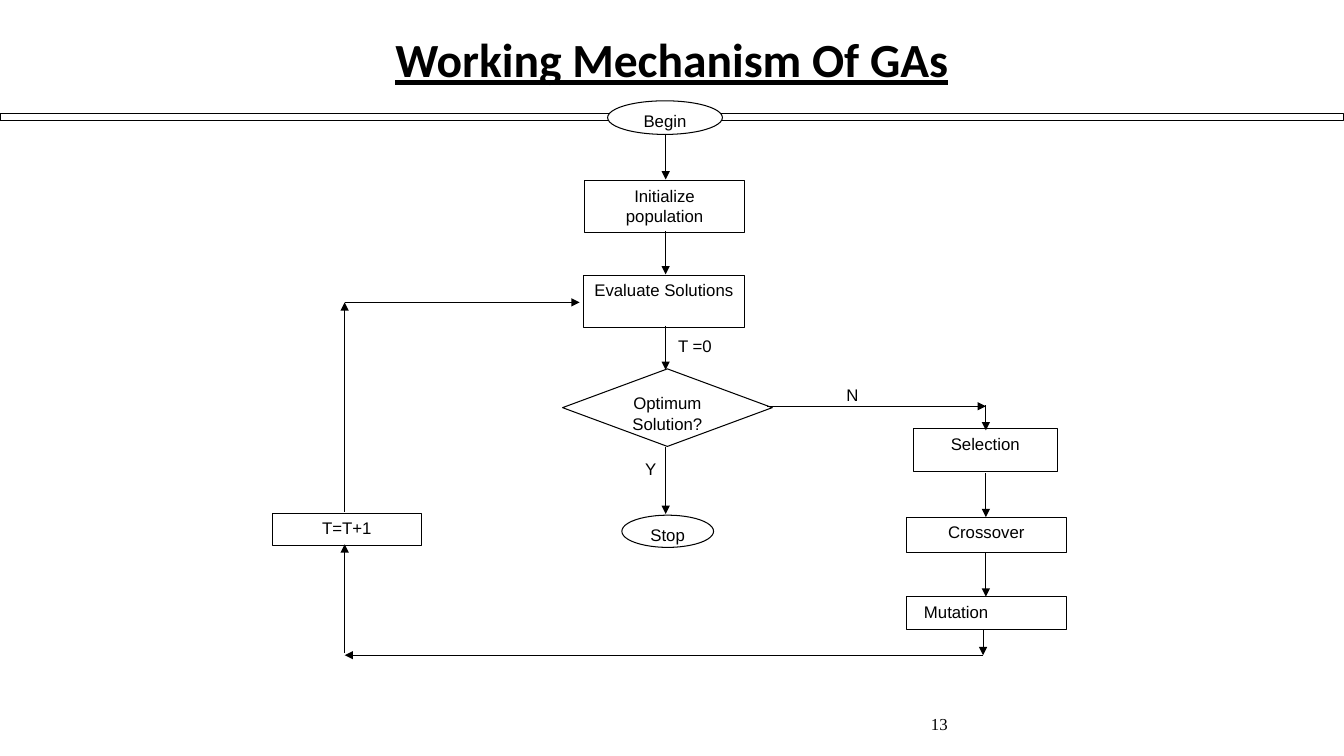
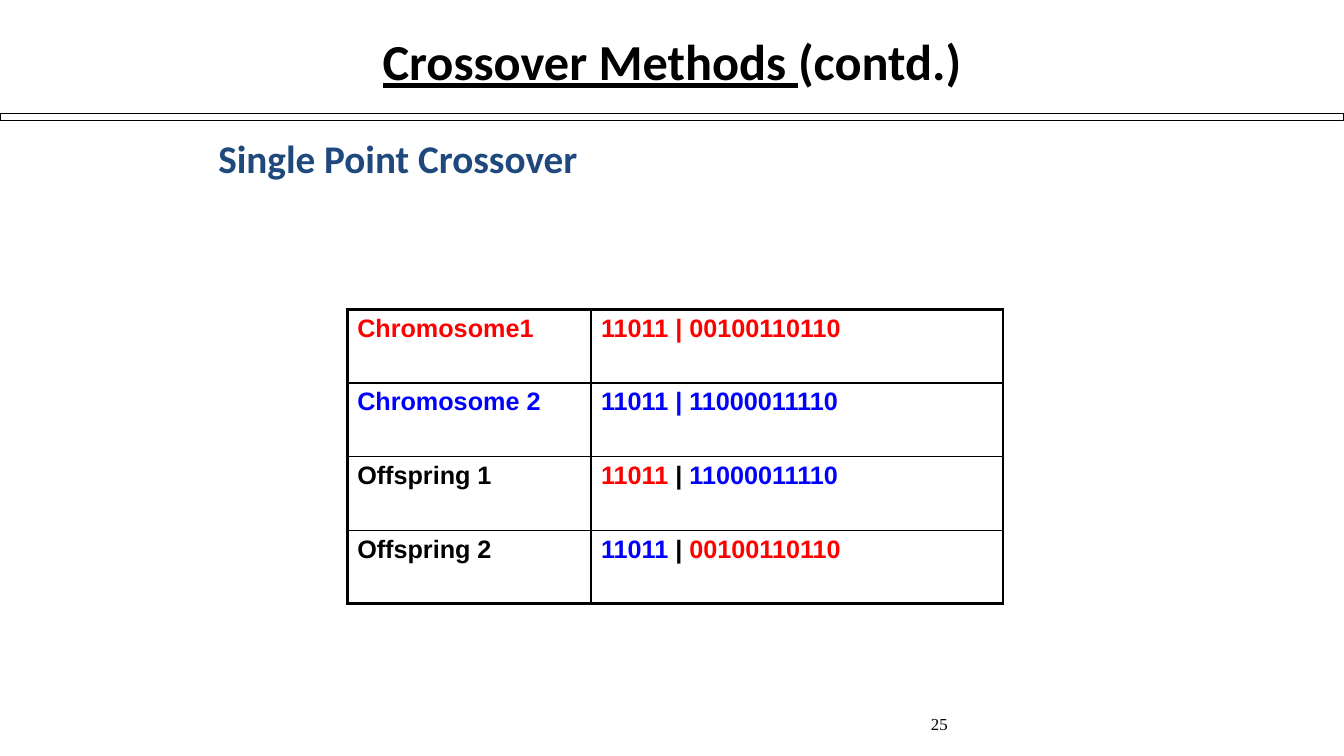
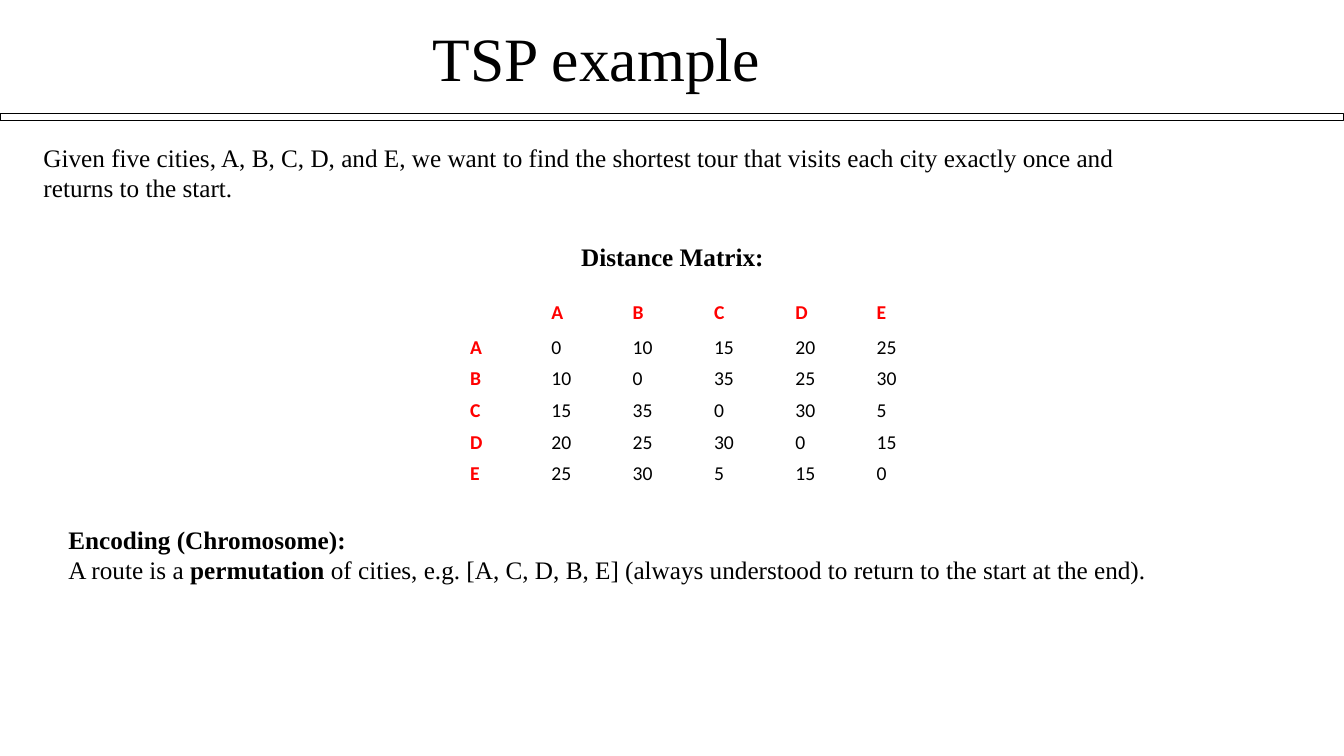
from lxml import etree
from pptx import Presentation
from pptx.dml.color import RGBColor
from pptx.enum.shapes import MSO_CONNECTOR, MSO_SHAPE
from pptx.enum.text import MSO_ANCHOR, PP_ALIGN
from pptx.oxml.ns import qn
from pptx.util import Pt

LEFT, MID, RIGHT = PP_ALIGN.LEFT, PP_ALIGN.CENTER, PP_ALIGN.RIGHT
TOP, HALF, LOW = MSO_ANCHOR.TOP, MSO_ANCHOR.MIDDLE, MSO_ANCHOR.BOTTOM
OVAL = MSO_SHAPE.FLOWCHART_CONNECTOR
STEP = MSO_SHAPE.FLOWCHART_PROCESS
TEST = MSO_SHAPE.FLOWCHART_DECISION
BAR = MSO_SHAPE.RECTANGLE
WIRE = MSO_CONNECTOR.STRAIGHT
INK = {"black": "000000", "white": "FFFFFF", "red": "FF0000",
       "blue": "0000FF", "navy": "1F497D"}
SANS, HEAD, SERIF = "Arial", "Calibri", "Times New Roman"
WIDE, TALL = 960, 540
PAD = (7.2, 3.6, 7.2, 3.6)
FLAT = (0, 0, 0, 0)


def tint(name):
    return RGBColor.from_string(INK[name])


def pts(*nums):
    return [Pt(num) for num in nums]


def inset(part, pad):
    part.margin_left, part.margin_top, part.margin_right, part.margin_bottom = pts(*pad)


def write(frame, lines, size=12, font=SANS, ink="black", bold=False, line=False, align=LEFT):
    lines = [lines] if isinstance(lines, str) else lines
    for i, runs in enumerate(lines):
        para = frame.add_paragraph() if i else frame.paragraphs[0]
        para.alignment = align
        for run in [(runs, {})] if isinstance(runs, str) else runs:
            text, own = run
            bit = para.add_run()
            bit.text = text
            face = bit.font
            face.name, face.size = font, Pt(size)
            face.bold = own.get("bold", bold)
            face.underline = own.get("line", line)
            face.color.rgb = tint(own.get("ink", ink))


def label(slide, box, lines, pad=PAD, anchor=TOP, **form):
    frame = slide.shapes.add_textbox(*pts(*box)).text_frame
    frame.word_wrap = True
    frame.vertical_anchor = anchor
    inset(frame, pad)
    write(frame, lines, **form)


def block(slide, kind, box, text="", fill="white", pad=PAD, **form):
    shape = slide.shapes.add_shape(kind, *pts(*box))
    shape.shadow.inherit = False
    if fill:
        shape.fill.solid()
        shape.fill.fore_color.rgb = tint(fill)
    else:
        shape.fill.background()
    shape.line.color.rgb = tint("black")
    shape.line.width = Pt(0.75)
    if text:
        frame = shape.text_frame
        frame.word_wrap = True
        frame.vertical_anchor = TOP
        inset(frame, pad)
        write(frame, text, **form)


def arrow(slide, x1, y1, x2, y2):
    wire = slide.shapes.add_connector(WIRE, *pts(x1, y1, x2, y2))
    wire.line.color.rgb = tint("black")
    wire.line.width = Pt(0.75)
    etree.SubElement(wire.line._get_or_add_ln(), qn("a:tailEnd"), type="triangle")
    etree.SubElement(wire._element.spPr, qn("a:effectLst"))


def base(deck, page=None):
    slide = deck.slides.add_slide(deck.slide_layouts[6])
    block(slide, BAR, (0, 81, WIDE, 5), fill=None)
    if page:
        label(slide, (516, 492, 168, 36), page, anchor=LOW, font=SERIF, align=RIGHT)
    return slide


def title(slide, text, size):
    label(slide, (156, 21.6, 648, 44), text, pad=FLAT, size=size, font=HEAD,
          bold=True, line=True, align=MID)


def flow(slide, box):
    left, top, _, _ = box
    mid, side, back, base_y = 281.5, 510.2, 52.2, 396
    indent = (12.7, 3.6, 7.2, 3.6)
    nodes = [
        (OVAL, 240, 0, 82, 24, "Begin", MID, PAD),
        (STEP, 223.5, 57, 114.5, 37.4, "Initialize population", MID, PAD),
        (STEP, 223, 124.5, 114.5, 37.4, "Evaluate Solutions", MID, PAD),
        (TEST, 207.8, 191.5, 149.8, 55.4, "Optimum Solution?", MID, PAD),
        (OVAL, 250.2, 296, 65.5, 23, "Stop", MID, PAD),
        (STEP, 0.4, 294.5, 106.6, 23, "T=T+1", MID, PAD),
        (STEP, 458.3, 234, 103, 31, "Selection", MID, PAD),
        (STEP, 453.3, 297.4, 114.5, 25.2, "Crossover", MID, PAD),
        (STEP, 453.3, 354.2, 114.5, 23.8, "Mutation", LEFT, indent),
    ]
    for kind, x, y, w, h, text, align, pad in nodes:
        block(slide, kind, (left + x, top + y, w, h), text, pad=pad, align=align)
    for x, y, text in [(387.8, 199.4, "N"), (243.8, 252, "Y"), (275.4, 164.2, "T =0")]:
        label(slide, (left + x, top + y, 54, 21.6), text, align=MID)
    drops = [(mid, 24.5, 56.2), (mid, 93, 124), (mid, 160.6, 192.2), (mid, 247, 295.2),
             (side, 217.4, 235.4), (side, 265.7, 297.4), (side, 323.3, 354.2),
             (side - 2, 378, base_y), (back, 394.6, 316.8), (back, 293.8, 144)]
    for x, y1, y2 in drops:
        arrow(slide, left + x, top + y1, left + x, top + y2)
    for y, x1, x2 in [(218.2, 354, side), (base_y, side - 2, back), (144, back, 220)]:
        arrow(slide, left + x1, top + y, left + x2, top + y)


def edge(cell, widths):
    props = cell._tc.get_or_add_tcPr()
    for i, (side, width) in enumerate(zip("LRTB", widths)):
        line = etree.Element(qn("a:ln" + side), w=str(Pt(width)))
        fill = etree.SubElement(line, qn("a:solidFill"))
        etree.SubElement(fill, qn("a:srgbClr"), val=INK["black"])
        props.insert(i, line)


def grid(slide, box, rows, cols, look, pad=PAD, anchor=TOP, frame=False):
    x, y, w, h = box
    last, end = len(rows) - 1, len(cols) - 1
    table = slide.shapes.add_table(last + 1, end + 1, *pts(x, y, w, h)).table
    table.first_row = table.horz_banding = False
    for c, share in enumerate(cols):
        table.columns[c].width = Pt(w * share / sum(cols))
    for r, row in enumerate(rows):
        table.rows[r].height = Pt(h / (last + 1))
        for c, text in enumerate(row):
            cell = table.cell(r, c)
            cell.fill.solid()
            cell.fill.fore_color.rgb = tint("white")
            cell.vertical_anchor = anchor
            inset(cell, pad)
            write(cell.text_frame, text, **look(r, c))
            if frame:
                rims = (c == 0, c == end, r == 0, r == last)
                edge(cell, [2.25 if rim else 1 for rim in rims])


def genes(slide, box):
    heads, tails = "11011 ", ("00100110110", "11000011110")

    def code(first, bar, second, tail):
        return [[(heads, {"ink": first}), ("| ", {"ink": bar}), (tail, {"ink": second})]]

    def name(text, ink):
        return [[(text, {"ink": ink})]]

    rows = [
        (name("Chromosome1", "red"), code("red", "red", "red", tails[0])),
        (name("Chromosome 2", "blue"), code("blue", "blue", "blue", tails[1])),
        (name("Offspring 1", "black"), code("red", "black", "blue", tails[1])),
        (name("Offspring 2", "black"), code("blue", "black", "red", tails[0])),
    ]
    grid(slide, box, rows, (2.42, 4.09), lambda r, c: {"size": 18, "bold": True}, frame=True)


def costs(slide, box):
    towns = "ABCDE"
    gaps = [(0, 10, 15, 20, 25), (10, 0, 35, 25, 30), (15, 35, 0, 30, 5),
            (20, 25, 30, 0, 15), (25, 30, 5, 15, 0)]
    rows = [["", *towns]] + [[town, *map(str, row)] for town, row in zip(towns, gaps)]

    def look(r, c):
        key = r == 0 or c == 0
        return {"size": 14, "font": HEAD, "bold": key, "ink": "red" if key else "black"}

    grid(slide, box, rows, [1] * 6, look, pad=(5.76, 2.88, 5.76, 2.88), anchor=HALF)


def main():
    deck = Presentation()
    deck.slide_width, deck.slide_height = pts(WIDE, TALL)

    slide = base(deck, "13")
    title(slide, "Working Mechanism Of GAs", 34)
    flow(slide, (194, 72, 568, 396))

    slide = base(deck, "25")
    title(slide, [[("Crossover Methods ", {}), ("(contd.)", {"line": False})]], 36)
    label(slide, (156, 96, 648, 34), "Single Point Crossover", pad=FLAT,
          size=28, font=HEAD, ink="navy", bold=True)
    genes(slide, (248, 221, 468.5, 210.4))

    slide = base(deck)
    label(slide, (309, 14, 640, 52), "TSP example", pad=FLAT, size=44, font=SERIF)
    prose = {"size": 18, "font": SERIF}
    label(slide, (24, 98, 822, 50),
          "Given five cities, A, B, C, D, and E, we want to find the shortest tour "
          "that visits each city exactly once and returns to the start.", **prose)
    label(slide, (408, 169, 481, 29), "Distance Matrix:", bold=True, **prose)
    costs(slide, (330, 209.5, 348.5, 135))
    label(slide, (41.8, 371, 900, 51), [
        [("Encoding (Chromosome):", {"bold": True})],
        [("A route is a ", {}), ("permutation", {"bold": True}),
         (" of cities, e.g. [A, C, D, B, E] (always understood to return "
          "to the start at the end).", {})],
    ], **prose)
    deck.save("out.pptx")


if __name__ == "__main__":
    main()
